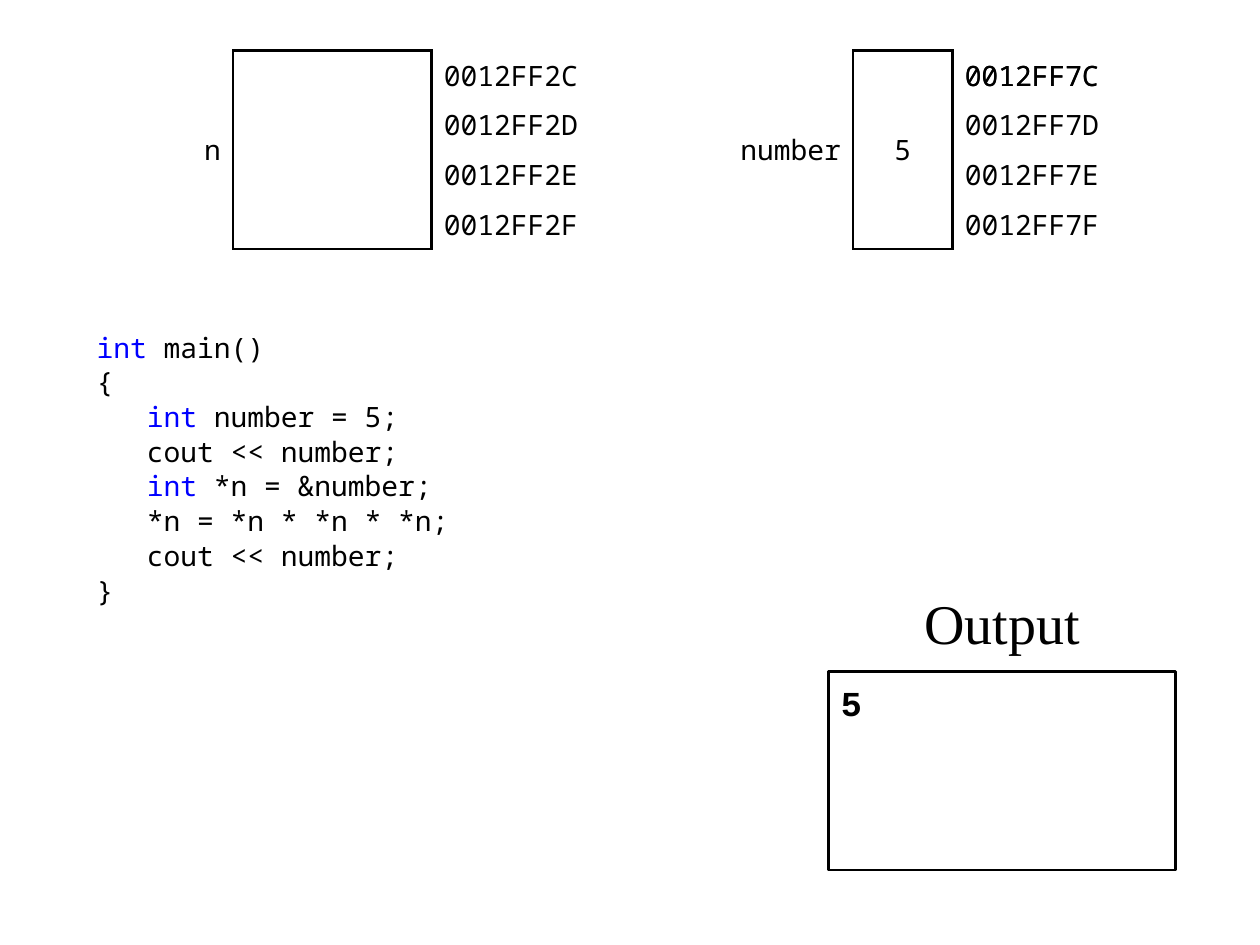
from lxml.etree import SubElement
from pptx import Presentation
from pptx.dml.color import RGBColor
from pptx.enum.shapes import MSO_SHAPE
from pptx.enum.text import MSO_ANCHOR, PP_ALIGN
from pptx.oxml.ns import qn
from pptx.util import Cm, Pt

BLACK = RGBColor(0, 0, 0)
WHITE = RGBColor(255, 255, 255)
KEYWORD_BLUE = RGBColor(0, 0, 255)
CODE_FONT = "Noto Sans Mono"
NO_STYLE_NO_GRID = "{2D5ABB26-0587-4C30-8999-92F81FD0307C}"
ROW_HEIGHT = 1


def style_paragraph(paragraph, size=16, name=CODE_FONT, align=PP_ALIGN.LEFT):
    paragraph.alignment = align
    paragraph.font.size = Pt(size)
    paragraph.font.name = name
    paragraph.font.color.rgb = BLACK


def add_borders(cell, sides):
    """Draw the given sides (from L, R, T, B, in that order) as black lines."""
    properties = cell._tc.get_or_add_tcPr()
    for side in sides:
        line = SubElement(properties, qn(f"a:ln{side}"), w=str(Pt(1.5)))
        fill = SubElement(line, qn("a:solidFill"))
        SubElement(fill, qn("a:srgbClr"), val=str(BLACK))


presentation = Presentation()
presentation.slide_width = Cm(25.4)
presentation.slide_height = Cm(19.05)
slide = presentation.slides.add_slide(presentation.slide_layouts[6])

# Code listing
code_lines = [
    "int main()",
    "{",
    "   int number = 5;",
    "   cout << number;",
    "   int *n = &number;",
    "   *n = *n * *n * *n;",
    "   cout << number;",
    "}",
]
code_frame = slide.shapes.add_textbox(Cm(1.7), Cm(6.53), Cm(11), Cm(10)).text_frame
code_frame.word_wrap = True
for index, code_line in enumerate(code_lines):
    paragraph = code_frame.paragraphs[0] if index == 0 else code_frame.add_paragraph()
    style_paragraph(paragraph)
    if index:
        paragraph.space_before = Pt(0.65)
    before, keyword, after = code_line.partition("int ")
    for text, color in ((before, BLACK), (keyword, KEYWORD_BLUE), (after, BLACK)):
        if text:
            run = paragraph.add_run()
            run.text = text
            run.font.color.rgb = color

# Memory diagrams: variable name, value box, one address per byte
memory_blocks = [
    ("number", "5", "0012FF7", 14.2, (3, 2, 4)),
    ("n", "", "0012FF2", 3.7, (1, 4, 4)),
]
column_borders = ("R", "LRTB", "L")
column_aligns = (PP_ALIGN.RIGHT, PP_ALIGN.CENTER, PP_ALIGN.LEFT)
for variable, value, address, left, widths in memory_blocks:
    frame = slide.shapes.add_table(
        4, 3, Cm(left), Cm(1.02), Cm(sum(widths)), Cm(4 * ROW_HEIGHT))
    table = frame.table
    table.first_row = False
    table.horz_banding = False
    table._tbl.tblPr.find(qn("a:tableStyleId")).text = NO_STYLE_NO_GRID
    for column, width in zip(table.columns, widths):
        column.width = Cm(width)
    for row_index, row in enumerate(table.rows):
        row.height = Cm(ROW_HEIGHT)
        texts = (variable, value) if row_index == 0 else ("", "")
        texts += (address + "CDEF"[row_index],)
        for cell, text, sides, align in zip(
                row.cells, texts, column_borders, column_aligns):
            cell.text = text
            cell.vertical_anchor = MSO_ANCHOR.MIDDLE
            cell.margin_left = cell.margin_right = Cm(0.25)
            cell.margin_top = cell.margin_bottom = Cm(0.05)
            style_paragraph(cell.text_frame.paragraphs[0], align=align)
            add_borders(cell, sides)
            cell.fill.background()
    for column_index in (0, 1):
        table.cell(0, column_index).merge(table.cell(3, column_index))

# First address of number, set again over the table
address_frame = slide.shapes.add_textbox(Cm(19.2), Cm(1.02), Cm(4), Cm(1)).text_frame
address_frame.word_wrap = True
address_frame.vertical_anchor = MSO_ANCHOR.MIDDLE
address_frame.margin_top = address_frame.margin_bottom = 0
address_frame.text = "0012FF7C"
style_paragraph(address_frame.paragraphs[0])

# Output window
output_box = slide.shapes.add_shape(
    MSO_SHAPE.RECTANGLE, Cm(16.7), Cm(13.54), Cm(7), Cm(4))
output_box.shadow.inherit = False
output_box.fill.solid()
output_box.fill.fore_color.rgb = WHITE
output_box.line.color.rgb = BLACK
output_box.line.width = Pt(1.5)
output_frame = output_box.text_frame
output_frame.vertical_anchor = MSO_ANCHOR.TOP
output_frame.margin_top = Cm(0.2)
output_frame.text = "5"
style_paragraph(output_frame.paragraphs[0], 20, "Courier New")
output_frame.paragraphs[0].font.bold = True

title_frame = slide.shapes.add_textbox(Cm(18.2), Cm(11.54), Cm(4), Cm(2)).text_frame
title_frame.word_wrap = False
title_frame.vertical_anchor = MSO_ANCHOR.MIDDLE
title_frame.text = "Output"
style_paragraph(title_frame.paragraphs[0], 32, "Times New Roman", PP_ALIGN.CENTER)

presentation.save("out.pptx")
